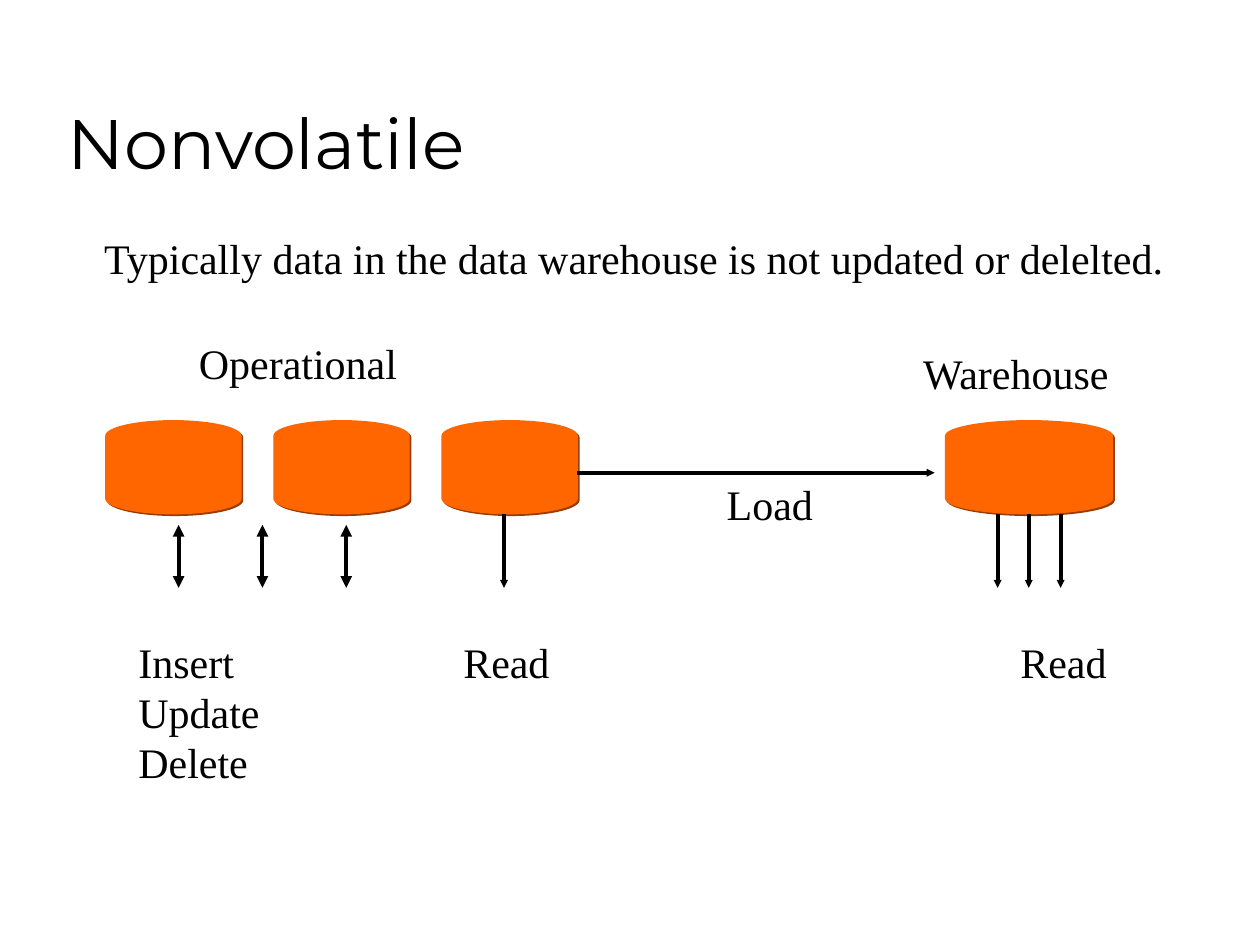
from dataclasses import dataclass

from lxml.etree import SubElement
from pptx import Presentation
from pptx.dml.color import RGBColor
from pptx.enum.shapes import MSO_CONNECTOR, MSO_SHAPE
from pptx.enum.text import MSO_ANCHOR, MSO_AUTO_SIZE
from pptx.oxml.ns import qn
from pptx.slide import Slide
from pptx.util import Cm, Pt


@dataclass(frozen=True)
class Theme:
    ink: RGBColor = RGBColor(0x00, 0x00, 0x00)
    disk: RGBColor = RGBColor(0xFF, 0x66, 0x00)
    disk_shadow: str = "983C00"
    title_font: str = "Montserrat"
    body_font: str = "Times New Roman"
    title_size: Pt = Pt(40)
    body_size: Pt = Pt(24)
    arrow_width: Pt = Pt(2.25)
    shadow_distance: Pt = Pt(1.4)


THEME = Theme()


# All lengths in these records are centimetres.
@dataclass(frozen=True)
class Label:
    text: str
    left: float
    top: float
    width: float
    height: float = 1.27


@dataclass(frozen=True)
class Disk:
    left: float
    width: float = 2.75


@dataclass(frozen=True)
class Arrow:
    start: tuple[float, float]
    end: tuple[float, float]
    two_way: bool = False


DISK_TOP, DISK_HEIGHT, DISK_PITCH = 8.47, 1.9, 4.27 - 0.87 / 1
DISK_TOP, DISK_HEIGHT, DISK_PITCH = 8.47, 1.9, 3.39
DISK_BOTTOM = DISK_TOP + DISK_HEIGHT
ARROW_END = 11.85
CAPTION_TOP = 12.7

DISKS = [Disk(2.12 + DISK_PITCH * index) for index in range(3)] + [Disk(19.05, 3.39)]

LABELS = [
    Label("Typically data in the data warehouse is not updated or delelted.",
          1.85, 4.57, 21.92),
    Label("Operational", 3.76, 6.68, 4.5),
    Label("Warehouse", 18.36, 6.88, 4.32),
    Label("Load", 14.4, 9.53, 2.24),
    Label("Insert\nUpdate\nDelete", 2.54, CAPTION_TOP, 2.95, 3.3),
    Label("Read", 9.09, CAPTION_TOP, 2.24),
    Label("Read", 20.32, CAPTION_TOP, 2.24),
]

UPDATE_ARROWS = [Arrow((x, 10.58), (x, ARROW_END), True)
                 for x in (3.6 + 1.69 * index for index in range(3))]
READ_ARROWS = [Arrow((x, DISK_BOTTOM), (x, ARROW_END))
               for x in (10.16, 20.11, 20.74, 21.38)]
LOAD_ARROW = Arrow((11.64, 9.53), (18.84, 9.53))


def add_label(slide: Slide, label: Label, font_name: str, size: Pt):
    box = slide.shapes.add_textbox(Cm(label.left), Cm(label.top),
                                   Cm(label.width), Cm(label.height))
    frame = box.text_frame
    frame.text = label.text
    frame.word_wrap = False
    frame.auto_size = MSO_AUTO_SIZE.SHAPE_TO_FIT_TEXT
    for paragraph in frame.paragraphs:
        for run in paragraph.runs:
            run.font.name = font_name
            run.font.size = size
            run.font.color.rgb = THEME.ink
    return box


def add_disk(slide: Slide, disk: Disk) -> None:
    shape = slide.shapes.add_shape(
        MSO_SHAPE.FLOWCHART_MAGNETIC_DISK,
        Cm(disk.left), Cm(DISK_TOP), Cm(disk.width), Cm(DISK_HEIGHT))
    shape.fill.solid()
    shape.fill.fore_color.rgb = THEME.disk
    shape.line.fill.background()
    shape.shadow.inherit = False
    # Hard shadow toward the lower right
    effects = shape.element.spPr.find(qn("a:effectLst"))
    shadow = SubElement(effects, qn("a:outerShdw"), blurRad="0",
                        dist=str(int(THEME.shadow_distance)), dir="2700000",
                        algn="ctr", rotWithShape="0")
    SubElement(shadow, qn("a:srgbClr"), val=THEME.disk_shadow)


def add_arrow(slide: Slide, arrow: Arrow) -> None:
    connector = slide.shapes.add_connector(
        MSO_CONNECTOR.STRAIGHT, *(Cm(value) for value in arrow.start + arrow.end))
    connector.line.color.rgb = THEME.ink
    connector.line.width = THEME.arrow_width
    properties = connector.element.spPr
    outline = properties.find(qn("a:ln"))
    head_size = "med" if arrow.two_way else "sm"
    for end in ("a:headEnd", "a:tailEnd") if arrow.two_way else ("a:tailEnd",):
        SubElement(outline, qn(end), type="triangle", w=head_size, len=head_size)
    SubElement(properties, qn("a:effectLst"))


def main() -> None:
    presentation = Presentation()
    presentation.slide_width, presentation.slide_height = Cm(25.4), Cm(19.05)
    slide = presentation.slides.add_slide(presentation.slide_layouts[6])

    # Title
    title = add_label(slide, Label("Nonvolatile", 1.12, 0.64, 21.59, 3.18),
                      THEME.title_font, THEME.title_size)
    title.text_frame.word_wrap = True
    title.text_frame.auto_size = MSO_AUTO_SIZE.NONE
    title.text_frame.vertical_anchor = MSO_ANCHOR.BOTTOM

    # Data stores
    for disk in DISKS:
        add_disk(slide, disk)

    # Statement and captions
    for label in LABELS:
        add_label(slide, label, THEME.body_font, THEME.body_size)

    # Data flows
    for arrow in UPDATE_ARROWS + READ_ARROWS + [LOAD_ARROW]:
        add_arrow(slide, arrow)

    presentation.save("out.pptx")


if __name__ == "__main__":
    main()
